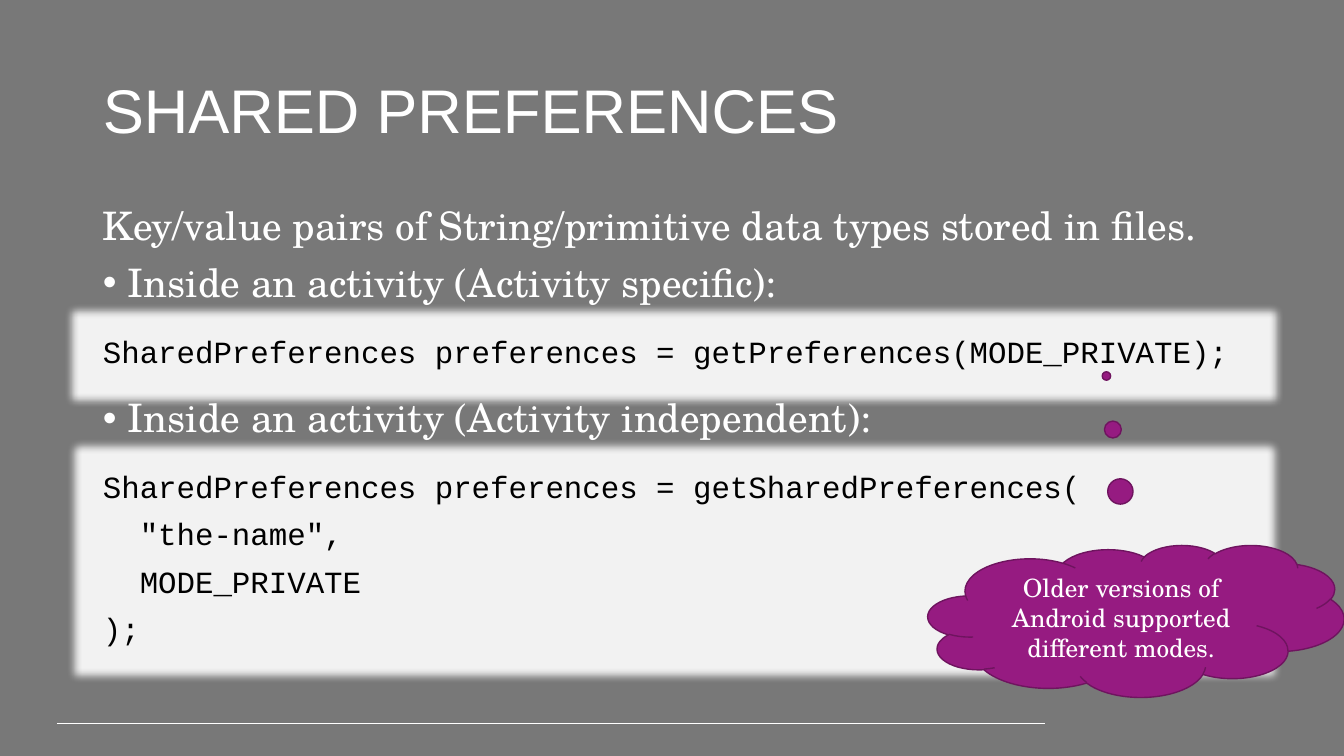
import dataclasses

import pptx
import pptx.dml.color
import pptx.enum.shapes
import pptx.enum.text
import pptx.oxml.ns
import pptx.util
from lxml import etree


@dataclasses.dataclass(frozen=True)
class Theme:
    background: str = "787878"
    light: str = "FFFFFF"
    code_text: str = "000000"
    code_fill: str = "F2F2F2"
    cloud_fill: str = "961B81"
    cloud_line: str = "6F145F"
    title_font: str = "Arial"
    body_font: str = "TeX Gyre Schola"
    code_font: str = "Courier New"
    title_size: int = 44
    body_size: int = 28
    code_size: int = 22
    cloud_size: int = 18
    glow_size: int = 11


THEME = Theme()
TITLE = "SHARED PREFERENCES"
INTRODUCTION = [
    ("Key/value pairs of String/primitive data types stored in files.", False),
    ("Inside an activity (Activity specific):", True),
]
INDEPENDENT = [("Inside an activity (Activity independent):", True)]
ACTIVITY_CODE = ["SharedPreferences preferences = getPreferences(MODE_PRIVATE);"]
SHARED_CODE = [
    "SharedPreferences preferences = getSharedPreferences(",
    '  "the-name",',
    "  MODE_PRIVATE",
    ");",
]
CLOUD_NOTE = "Older versions of Android supported different modes."

SLIDE_SIZE = (1344, 756)
LEFT = 93
WIDE = 1159
BODY_WIDTH = 1121
BULLET_INDENT = 25
FOOTER_LINE = (57, 724, 1045, 724)
CLOUD_BOX = (928, 545, 416, 152)
CLOUD_TAIL = (-0.071, -1.612)


def px(length):
    return pptx.util.Emu(round(length * 914400 / 100.8))


def rgb(value):
    return pptx.dml.color.RGBColor.from_string(value)


def add_drawing_element(parent, tag, **attributes):
    element = etree.SubElement(parent, pptx.oxml.ns.qn(tag))
    for name, value in attributes.items():
        element.set(name, str(value))
    return element


def write(shape, lines, font, size, color, anchor="TOP", spacing=0.9, align="LEFT"):
    frame = shape.text_frame
    frame.word_wrap = True
    frame.vertical_anchor = pptx.enum.text.MSO_ANCHOR[anchor]
    frame.text = "\n".join(lines)
    for index, paragraph in enumerate(frame.paragraphs):
        paragraph.alignment = pptx.enum.text.PP_ALIGN[align]
        paragraph.line_spacing = spacing
        paragraph.space_before = pptx.util.Pt(10 if index else 0)
        for run in paragraph.runs:
            run.font.name = font
            run.font.size = pptx.util.Pt(size)
            run.font.color.rgb = rgb(color)


def add_text(slide, box, lines, font, size, anchor="TOP"):
    shape = slide.shapes.add_textbox(*map(px, box))
    write(shape, lines, font, size, THEME.light, anchor)
    return shape


def add_body(slide, box, items):
    shape = add_text(slide, box, [text for text, bulleted in items],
                     THEME.body_font, THEME.body_size)
    for paragraph, (text, bulleted) in zip(shape.text_frame.paragraphs, items):
        if bulleted:
            properties = paragraph._p.get_or_add_pPr()
            properties.set("marL", str(px(BULLET_INDENT)))
            properties.set("indent", str(-px(BULLET_INDENT)))
            add_drawing_element(properties, "a:buFont", typeface="Arial")
            add_drawing_element(properties, "a:buChar", char="•")


def add_filled_shape(slide, kind, box, fill):
    shape = slide.shapes.add_shape(
        pptx.enum.shapes.MSO_SHAPE[kind], *map(px, box))
    shape.shadow.inherit = False
    shape.fill.solid()
    shape.fill.fore_color.rgb = rgb(fill)
    return shape


def add_code(slide, box, lines):
    panel = add_filled_shape(slide, "RECTANGLE", box, THEME.code_fill)
    panel.line.fill.background()
    effects = panel._element.spPr.find(pptx.oxml.ns.qn("a:effectLst"))
    glow = add_drawing_element(effects, "a:glow", rad=pptx.util.Pt(THEME.glow_size))
    add_drawing_element(glow, "a:srgbClr", val=THEME.code_fill)
    write(panel, lines, THEME.code_font, THEME.code_size, THEME.code_text)


def add_cloud(slide):
    cloud = add_filled_shape(slide, "CLOUD_CALLOUT", CLOUD_BOX, THEME.cloud_fill)
    cloud.line.color.rgb = rgb(THEME.cloud_line)
    cloud.line.width = pptx.util.Pt(1)
    for index, offset in enumerate(CLOUD_TAIL):
        cloud.adjustments[index] = offset
    write(cloud, [CLOUD_NOTE], THEME.body_font, THEME.cloud_size, THEME.light,
          "MIDDLE", 1.0, "CENTER")


def add_footer_line(slide):
    line = slide.shapes.add_connector(
        pptx.enum.shapes.MSO_CONNECTOR.STRAIGHT, *map(px, FOOTER_LINE))
    line.line.color.rgb = rgb(THEME.light)
    line.line.width = pptx.util.Pt(0.75)
    add_drawing_element(line._element.spPr, "a:effectLst")


def main():
    presentation = pptx.Presentation()
    presentation.slide_width, presentation.slide_height = map(px, SLIDE_SIZE)
    slide = presentation.slides.add_slide(presentation.slide_layouts[6])
    slide.background.fill.solid()
    slide.background.fill.fore_color.rgb = rgb(THEME.background)

    add_footer_line(slide)
    add_text(slide, (LEFT, 41, WIDE, 146), [TITLE],
             THEME.title_font, THEME.title_size, "MIDDLE")
    add_code(slide, (LEFT, 332, WIDE, 44), ACTIVITY_CODE)
    add_body(slide, (LEFT, 202, BODY_WIDTH, 113), INTRODUCTION)
    add_body(slide, (LEFT, 394, BODY_WIDTH, 54), INDEPENDENT)
    add_code(slide, (LEFT, 467, WIDE, 186), SHARED_CODE)
    add_cloud(slide)
    presentation.save("out.pptx")


if __name__ == "__main__":
    main()
